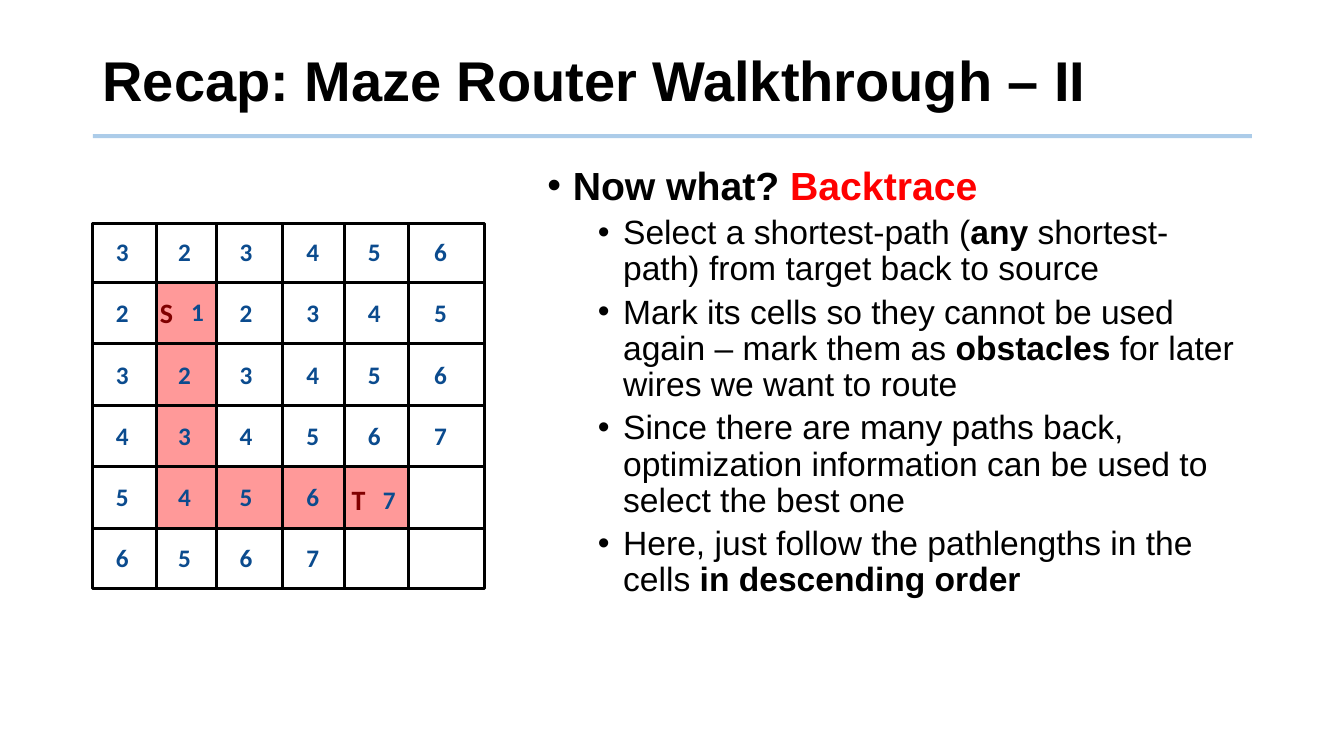
from lxml.etree import SubElement
from pptx import Presentation
from pptx.dml.color import RGBColor
from pptx.enum.shapes import MSO_CONNECTOR, MSO_SHAPE
from pptx.enum.text import MSO_ANCHOR, MSO_AUTO_SIZE, PP_ALIGN
from pptx.oxml.ns import qn
from pptx.util import Cm, Pt

BLACK, RED, PINK, MAROON, NAVY, RULE_BLUE = (
    "000000", "FF0000", "FF9999", "800000", "0B4B8E", "5B9BD5")

GRID_LEFT, GRID_TOP, GRID_RIGHT, GRID_BOTTOM = 2.34, 5.64, 12.22, 14.83
COLUMN_EDGES = [3.94, 5.46, 7.11, 8.69, 10.29]
ROW_EDGES = [7.11 + 1.55 * row for row in range(5)]
COST_LEFTS = [2.67, 4.24, 5.79, 7.47, 9.02, 10.69]
COST_TOP, COST_PITCH = 5.84, 1.54
PATH_COSTS = ["323456", "2 2345", "323456", "434567", "5456", "6567"]

BACKTRACE = [
    (0, ["Now what? ", "Backtrace"]),
    (1, ["Select a shortest-path (", "any",
         " shortest-path) from target back to source"]),
    (1, ["Mark its cells so they cannot be used again – mark them as ",
         "obstacles", " for later wires we want to route"]),
    (1, ["Since there are many paths back, optimization information "
         "can be used to select the best one"]),
    (1, ["Here, just follow the pathlengths in the cells ",
         "in descending order"]),
]


def colour(hex_value):
    """Turn a hex string into a colour."""
    return RGBColor.from_string(hex_value)


class MazeSlide:
    """Hold the fonts and the slide, and draw each kind of element."""

    heading_font, cell_font = "Arial", "Calibri"

    def __init__(self, deck):
        """Add a title and content slide to the deck."""
        self.slide = deck.slides.add_slide(deck.slide_layouts[1])
        self.shapes = self.slide.shapes

    def style(self, paragraph, font_name, size, hex_value, bold=None):
        """Set the font of a whole paragraph."""
        font = paragraph.font
        font.name, font.size, font.bold = font_name, Pt(size), bold
        font.color.rgb = colour(hex_value)

    def place(self, holder, left, top, width, height):
        """Move a placeholder and return its text frame."""
        holder.left, holder.top = Cm(left), Cm(top)
        holder.width, holder.height = Cm(width), Cm(height)
        holder.text_frame.auto_size = MSO_AUTO_SIZE.NONE
        return holder.text_frame

    def title(self, text, *box):
        """Fill the title placeholder."""
        frame = self.place(self.shapes.title, *box)
        frame.text = text
        frame.vertical_anchor = MSO_ANCHOR.MIDDLE
        heading = frame.paragraphs[0]
        heading.alignment, heading.line_spacing = PP_ALIGN.LEFT, 0.9
        self.style(heading, self.heading_font, 40, BLACK, True)

    def bullets(self, items, *box):
        """Fill the body placeholder; every second part is emphasised."""
        frame = self.place(self.slide.placeholders[1], *box)
        for index, (level, parts) in enumerate(items):
            item = frame.add_paragraph() if index else frame.paragraphs[0]
            item.level, item.line_spacing = level, 0.9
            item.space_before = Pt(5 if index else 0)
            properties = item._p.get_or_add_pPr()
            properties.set("marL", str(Cm(1.91 if level else 0.64)))
            properties.set("indent", str(Cm(-0.64)))
            SubElement(properties, qn("a:buFont"), typeface="Arial")
            SubElement(properties, qn("a:buChar"), char="•")
            self.style(item, self.heading_font, 24 if level else 28, BLACK, level == 0)
            for position, part in enumerate(parts):
                run = item.add_run()
                run.text = part
                if position % 2 and level:
                    run.font.bold = True
                elif position % 2:
                    run.font.color.rgb = colour(RED)

    def line(self, x1, y1, x2, y2, hex_value=BLACK, weight=2, opacity=None):
        """Draw a straight line."""
        rule = self.shapes.add_connector(
            MSO_CONNECTOR.STRAIGHT, Cm(x1), Cm(y1), Cm(x2), Cm(y2))
        rule.line.width = Pt(weight)
        rule.line.color.rgb = colour(hex_value)
        properties = rule._element.spPr
        if opacity:
            tint = properties.find(".//" + qn("a:srgbClr"))
            SubElement(tint, qn("a:alpha"), val=str(opacity * 1000))
        SubElement(properties, qn("a:effectLst"))

    def box(self, left, top, right, bottom, fill=None):
        """Draw a filled rectangle, or an outlined one without a fill."""
        area = self.shapes.add_shape(
            MSO_SHAPE.RECTANGLE, Cm(left), Cm(top), Cm(right - left), Cm(bottom - top))
        area.shadow.inherit = False
        if fill:
            area.fill.solid()
            area.fill.fore_color.rgb = colour(fill)
            area.line.fill.background()
        else:
            area.fill.background()
            area.line.color.rgb = colour(BLACK)
            area.line.width = Pt(2)

    def label(self, text, left, top, width=0.86, height=1.02, size=18, hex_value=NAVY):
        """Write a bold label in a maze cell."""
        frame = self.shapes.add_textbox(
            Cm(left), Cm(top), Cm(width), Cm(height)).text_frame
        frame.word_wrap = False
        frame.auto_size = MSO_AUTO_SIZE.SHAPE_TO_FIT_TEXT
        frame.text = text
        self.style(frame.paragraphs[0], self.cell_font, size, hex_value, True)

    def maze(self):
        """Draw the maze with its marked path and path lengths."""
        self.box(COLUMN_EDGES[0], ROW_EDGES[0], COLUMN_EDGES[1], ROW_EDGES[4], PINK)
        self.box(COLUMN_EDGES[0], ROW_EDGES[3], COLUMN_EDGES[4], ROW_EDGES[4], PINK)
        self.box(GRID_LEFT, GRID_TOP, GRID_RIGHT, GRID_BOTTOM)
        for y in ROW_EDGES:
            self.line(GRID_LEFT, y, GRID_RIGHT, y)
        for x in COLUMN_EDGES:
            self.line(x, GRID_TOP, x, GRID_BOTTOM)
        for row, costs in enumerate(PATH_COSTS):
            for left, cost in zip(COST_LEFTS, costs):
                if cost != " ":
                    self.label(cost, left, COST_TOP + COST_PITCH * row)
        for name, name_left, name_top, cost, cost_left, cost_top in [
                ("S", 3.78, 7.32, "1", 4.57, 7.34),
                ("T", 8.61, 12.04, "7", 9.4, 12.09)]:
            self.label(name, name_left, name_top, 0.97, 1.09, 20, MAROON)
            self.label(cost, cost_left, cost_top)


def main():
    """Build and save the slide."""
    deck = Presentation()
    deck.slide_width, deck.slide_height = Cm(33.87), Cm(19.05)
    recap = MazeSlide(deck)
    recap.title("Recap: Maze Router Walkthrough – II", 2.33, 0.71, 29.21, 2.79)
    recap.line(2.34, 3.43, 31.55, 3.43, RULE_BLUE, 3, opacity=50)
    recap.maze()
    recap.bullets(BACKTRACE, 13.54, 4.06, 18.01, 13.08)
    deck.save("out.pptx")


if __name__ == "__main__":
    main()
